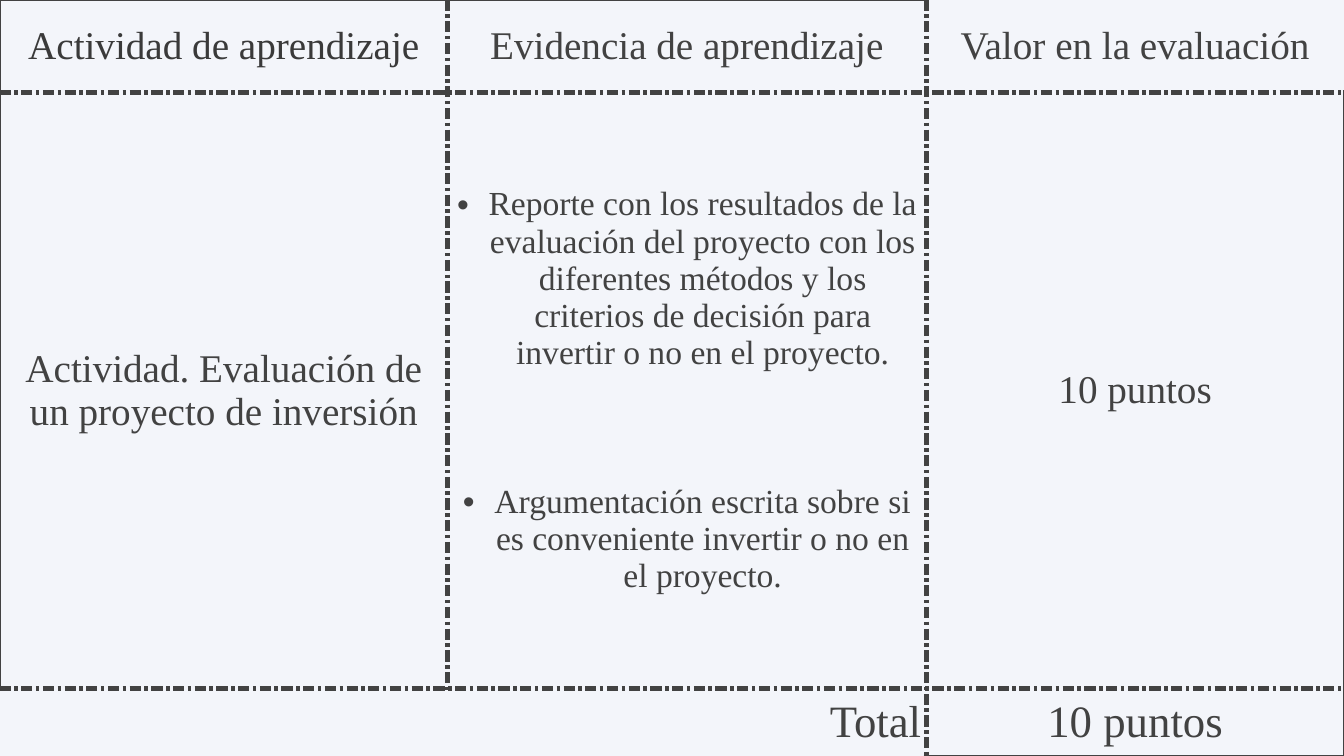
from lxml import etree
from pptx import Presentation
from pptx.dml.color import RGBColor
from pptx.enum.text import MSO_ANCHOR, PP_ALIGN
from pptx.oxml.ns import qn
from pptx.util import Pt

CENTER, RIGHT = PP_ALIGN.CENTER, PP_ALIGN.RIGHT
MIDDLE = MSO_ANCHOR.MIDDLE

FONT = "Times New Roman"
BACKGROUND, INK, DARK_INK = "F3F5FA", "424242", "3A3A3A"
SLIDE_WIDTH, SLIDE_HEIGHT = Pt(960), Pt(540)
COLUMN_WIDTHS = [319.68, 342, 298.32]
ROW_HEIGHTS = [66.24, 425.52, 48.24]
CELL_INSET = Pt(3.6)
BULLET_INDENT = Pt(22.5)
BULLET_GAP = Pt(80)

# Borders are given in the order left, right, top, bottom:
# T thin solid, D thick dash-dot, - none
SIDES = ["a:lnL", "a:lnR", "a:lnT", "a:lnB"]
LINES = {"T": (Pt(1), "solid"), "D": (Pt(4.5), "dashDot")}

HEADERS = ["Actividad de aprendizaje", "Evidencia de aprendizaje", "Valor en la evaluación"]
ACTIVITY = "Actividad. Evaluación de un proyecto de inversión"
EVIDENCE = [
    "Reporte con los resultados de la evaluación del proyecto con los diferentes "
    "métodos y los criterios de decisión para invertir o no en el proyecto.",
    "Argumentación escrita sobre si es conveniente invertir o no en el proyecto.",
]
POINTS = "10 puntos"


def color(hex_string):
    return RGBColor.from_string(hex_string)


def set_format(target, values):
    for name, value in values.items():
        setattr(target, name, value)


def set_borders(cell, codes):
    properties = cell._tc.get_or_add_tcPr()
    for position, (side, code) in enumerate(zip(SIDES, codes)):
        line = etree.Element(qn(side))
        properties.insert(position, line)
        if code == "-":
            etree.SubElement(line, qn("a:noFill"))
            continue
        width, dash = LINES[code]
        line.set("w", str(width))
        fill = etree.SubElement(line, qn("a:solidFill"))
        etree.SubElement(fill, qn("a:srgbClr"), val=INK)
        etree.SubElement(line, qn("a:prstDash"), val=dash)


def add_bullet(paragraph):
    properties = paragraph._p.get_or_add_pPr()
    properties.set("marL", str(BULLET_INDENT))
    properties.set("indent", str(-BULLET_INDENT))
    etree.SubElement(properties, qn("a:buFont"), typeface="Arial")
    etree.SubElement(properties, qn("a:buChar"), char="•")


def write_cell(cell, texts, borders, size=28, ink=INK, alignment=CENTER, bullets=False):
    set_format(cell, {
        "margin_left": CELL_INSET, "margin_right": CELL_INSET,
        "margin_top": CELL_INSET, "margin_bottom": CELL_INSET,
        "vertical_anchor": MIDDLE,
    })
    cell.fill.background()
    set_borders(cell, borders)
    frame = cell.text_frame
    for index, text in enumerate(texts):
        paragraph = frame.add_paragraph() if index else frame.paragraphs[0]
        paragraph.alignment = alignment
        if index:
            paragraph.space_before = BULLET_GAP
        if bullets:
            add_bullet(paragraph)
        run = paragraph.add_run()
        run.text = text
        set_format(run.font, {"name": FONT, "size": Pt(size), "bold": False})
        run.font.color.rgb = color(ink)


def add_evaluation_table(slide):
    table = slide.shapes.add_table(
        len(ROW_HEIGHTS), len(COLUMN_WIDTHS), 0, 0, SLIDE_WIDTH, SLIDE_HEIGHT).table
    set_format(table, {"first_row": False, "horz_banding": False})
    for column, width in zip(table.columns, COLUMN_WIDTHS):
        column.width = Pt(width)
    for row, height in zip(table.rows, ROW_HEIGHTS):
        row.height = Pt(height)
    return table


def main():
    presentation = Presentation()
    set_format(presentation, {"slide_width": SLIDE_WIDTH, "slide_height": SLIDE_HEIGHT})
    slide = presentation.slides.add_slide(presentation.slide_layouts[6])
    slide.background.fill.solid()
    slide.background.fill.fore_color.rgb = color(BACKGROUND)
    table = add_evaluation_table(slide)

    # Header row
    header_styles = [("TDTD", DARK_INK), ("DDTD", INK), ("D--D", INK)]
    for column, (text, (borders, ink)) in enumerate(zip(HEADERS, header_styles)):
        write_cell(table.cell(0, column), [text], borders, ink=ink)

    # Activity row
    write_cell(table.cell(1, 0), [ACTIVITY], "TDDD")
    write_cell(table.cell(1, 1), EVIDENCE, "DDDD", size=24, bullets=True)
    write_cell(table.cell(1, 2), [POINTS], "DTDD")

    # Total row
    table.cell(2, 0).merge(table.cell(2, 1))
    write_cell(table.cell(2, 0), ["Total"], "-DD-", size=32, alignment=RIGHT)
    write_cell(table.cell(2, 1), [], "-DD-")
    write_cell(table.cell(2, 2), [POINTS], "DTDT", size=32)

    presentation.save("out.pptx")


main()
